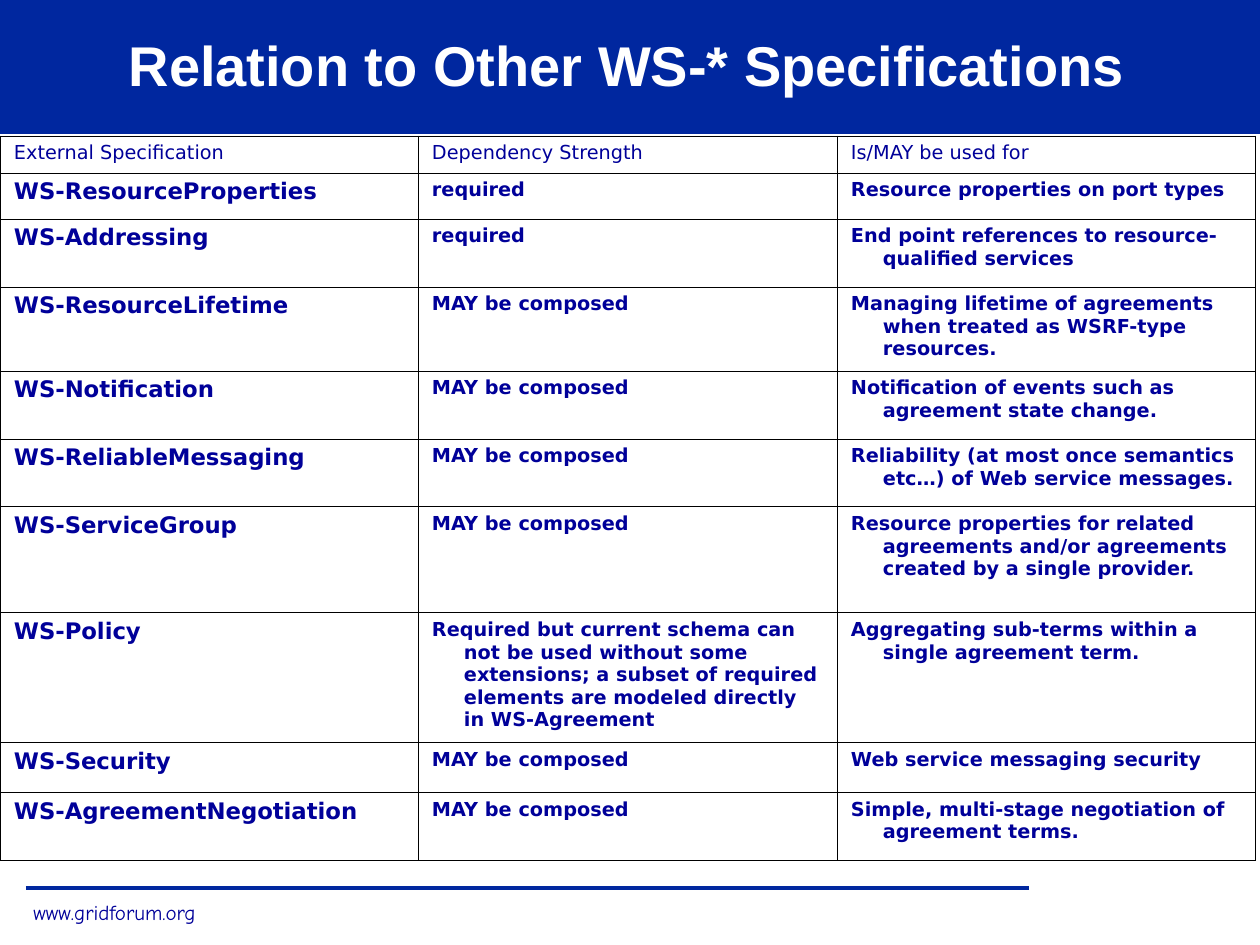
from dataclasses import dataclass

from lxml.etree import SubElement
from pptx import Presentation
from pptx.dml.color import RGBColor
from pptx.enum.shapes import MSO_CONNECTOR, MSO_SHAPE
from pptx.enum.text import MSO_ANCHOR, MSO_AUTO_SIZE, PP_ALIGN
from pptx.oxml.ns import qn
from pptx.util import Emu, Pt

PX = 914400 / 126


def px(n):
    return Emu(round(n * PX))


@dataclass(frozen=True)
class Theme:
    band: str = "00279F"
    ink: str = "000099"
    title_ink: str = "FFFFFF"
    border: str = "000000"
    title_font: str = "Arial"
    table_font: str = "DejaVu Sans"
    footer_font: str = "Comic Neue"
    title_size: int = 32
    name_size: int = 13
    cell_size: int = 11
    footer_size: int = 12
    rule_width: float = 2
    border_width: float = 0.45


def write(tf, text, *, font, size, color, bold=False, align=PP_ALIGN.LEFT, hang=0):
    """Fill a text frame with one paragraph; hang is the hanging indent in px."""
    p = tf.paragraphs[0]
    p.alignment = align
    if hang:
        pPr = p._p.get_or_add_pPr()
        pPr.set("marL", str(px(hang)))
        pPr.set("indent", str(-px(hang)))
    r = p.add_run()
    r.text = text
    r.font.name = font
    r.font.size = Pt(size)
    r.font.bold = bold
    r.font.color.rgb = RGBColor.from_string(color)


def set_borders(cell, color, width):
    tcPr = cell._tc.get_or_add_tcPr()
    for i, side in enumerate(("lnL", "lnR", "lnT", "lnB")):
        ln = SubElement(tcPr, qn(f"a:{side}"), w=str(Pt(width)))
        fill = SubElement(ln, qn("a:solidFill"))
        SubElement(fill, qn("a:srgbClr"), val=color)
        tcPr.remove(ln)
        tcPr.insert(i, ln)  # borders come before the cell fill


class SlideBuilder:
    def __init__(self, slide, theme):
        self.s = slide
        self.theme = theme

    def band(self, x, y, w, h):
        sp = self.s.shapes.add_shape(MSO_SHAPE.RECTANGLE, px(x), px(y), px(w), px(h))
        sp.shadow.inherit = False
        sp.fill.solid()
        sp.fill.fore_color.rgb = RGBColor.from_string(self.theme.band)
        sp.line.fill.background()
        return sp

    def title(self, x, y, w, h, text):
        t = self.theme
        tf = self.band(x, y, w, h).text_frame
        tf.word_wrap = True
        tf.vertical_anchor = MSO_ANCHOR.MIDDLE
        write(tf, text, font=t.title_font, size=t.title_size, color=t.title_ink,
              bold=True, align=PP_ALIGN.CENTER)

    def rule(self, x1, x2, y):
        c = self.s.shapes.add_connector(MSO_CONNECTOR.STRAIGHT, px(x1), px(y), px(x2), px(y))
        c.line.color.rgb = RGBColor.from_string(self.theme.band)
        c.line.width = Pt(self.theme.rule_width)
        SubElement(c._element.spPr, qn("a:effectLst"))

    def footer(self, x, y, w, h, text):
        t = self.theme
        tf = self.s.shapes.add_textbox(px(x), px(y), px(w), px(h)).text_frame
        tf.word_wrap = False
        tf.auto_size = MSO_AUTO_SIZE.SHAPE_TO_FIT_TEXT
        write(tf, text, font=t.footer_font, size=t.footer_size, color=t.ink)

    def table(self, x, y, col_widths, row_heights, rows):
        t = self.theme
        table = self.s.shapes.add_table(
            len(rows), len(col_widths), px(x), px(y),
            px(sum(col_widths)), px(sum(row_heights))).table
        table.first_row = table.horz_banding = False
        for col, w in zip(table.columns, col_widths):
            col.width = px(w)
        for row, h in zip(table.rows, row_heights):
            row.height = px(h)
        for i, texts in enumerate(rows):
            for j, text in enumerate(texts):
                cell = table.cell(i, j)
                cell.fill.background()
                cell.margin_left = cell.margin_right = px(14)
                cell.margin_top = cell.margin_bottom = px(6)
                set_borders(cell, t.border, t.border_width)
                is_name = i > 0 and j == 0
                write(cell.text_frame, text, font=t.table_font, color=t.ink, bold=i > 0,
                      size=t.name_size if is_name else t.cell_size, hang=32)


COMPOSED = "MAY be composed"
SPECIFICATIONS = [
    ("External Specification", "Dependency Strength", "Is/MAY be used for"),
    ("WS-ResourceProperties", "required", "Resource properties on port types"),
    ("WS-Addressing", "required", "End point references to resource-qualified services"),
    ("WS-ResourceLifetime", COMPOSED,
     "Managing lifetime of agreements when treated as WSRF-type resources."),
    ("WS-Notification", COMPOSED, "Notification of events such as agreement state change."),
    ("WS-ReliableMessaging", COMPOSED,
     "Reliability (at most once semantics etc…) of Web service messages."),
    ("WS-ServiceGroup", COMPOSED,
     "Resource properties for related agreements and/or agreements created by a single provider."),
    ("WS-Policy",
     "Required but current schema can not be used without some extensions; "
     "a subset of required elements are modeled directly in WS-Agreement",
     "Aggregating sub-terms within a single agreement term."),
    ("WS-Security", COMPOSED, "Web service messaging security"),
    ("WS-AgreementNegotiation", COMPOSED, "Simple, multi-stage negotiation of agreement terms."),
]
ROW_HEIGHTS = [37, 46, 68, 84, 68, 68, 106, 130, 50, 68]


def main():
    prs = Presentation()
    prs.slide_width, prs.slide_height = px(1260), px(945)
    b = SlideBuilder(prs.slides.add_slide(prs.slide_layouts[6]), Theme())
    b.band(0, 0, 1260, 134)
    b.rule(26, 1029, 888)
    b.footer(21, 893, 188, 38, "www.gridforum.org")
    b.title(0, 0, 1254, 129, "Relation to Other WS-* Specifications")
    b.table(0, 136, [418, 419, 418], ROW_HEIGHTS, SPECIFICATIONS)
    prs.save("out.pptx")


if __name__ == "__main__":
    main()
